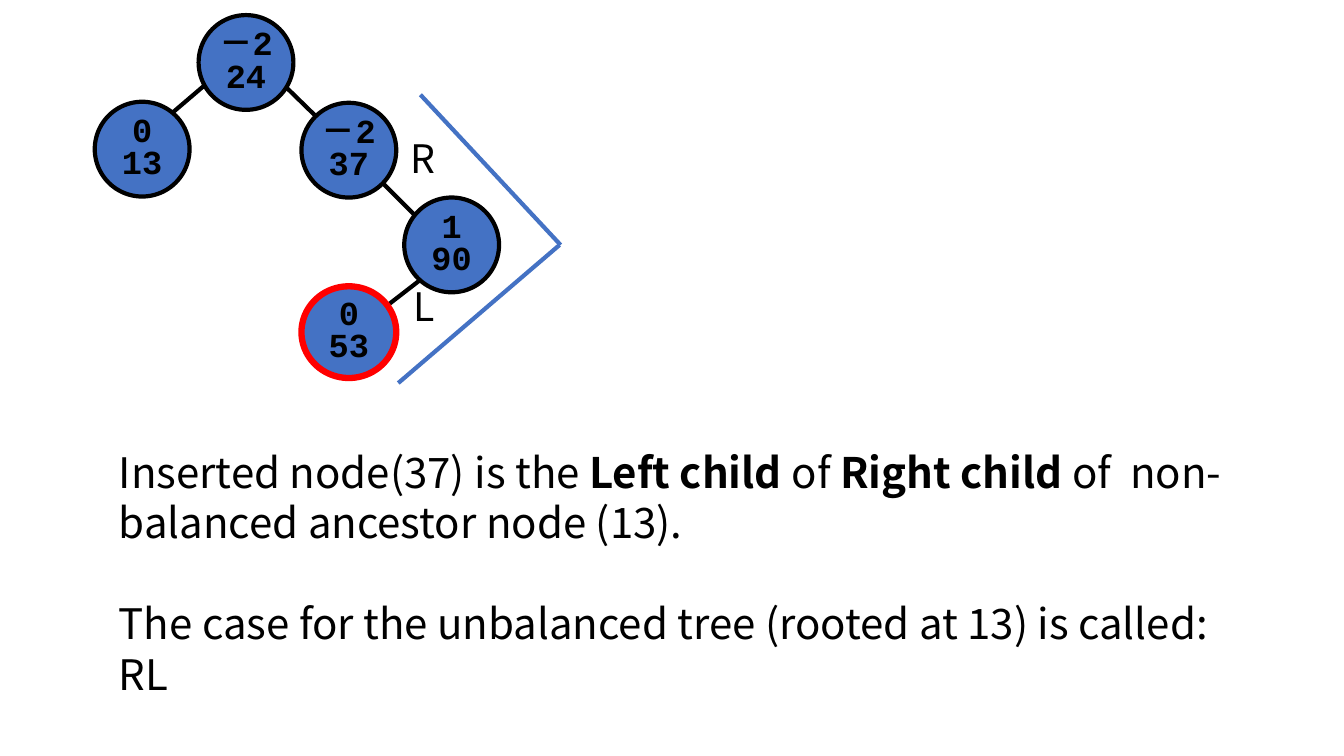
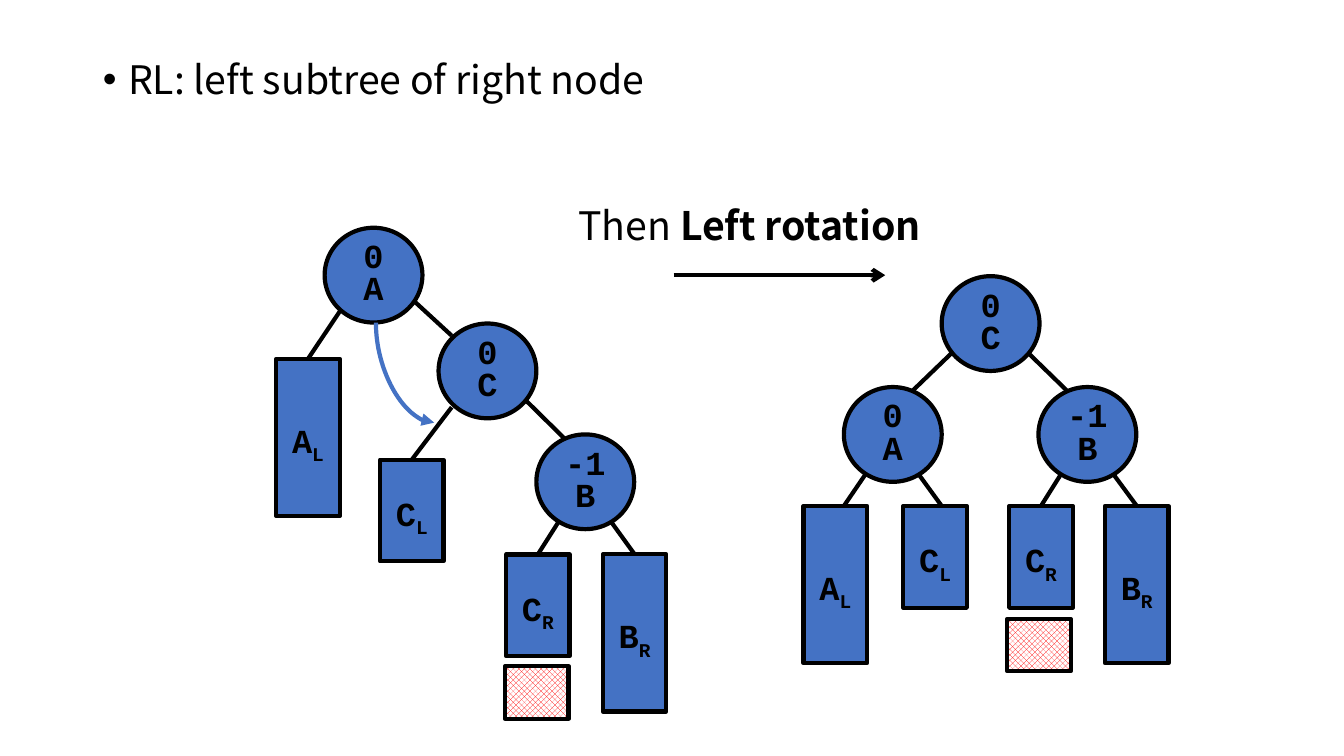
from dataclasses import dataclass

from lxml import etree
from pptx import Presentation
from pptx.dml.color import RGBColor
from pptx.enum.dml import MSO_PATTERN
from pptx.enum.shapes import MSO_CONNECTOR, MSO_SHAPE
from pptx.enum.text import MSO_ANCHOR, PP_ALIGN
from pptx.oxml.ns import qn
from pptx.util import Inches, Pt

STRAIGHT = MSO_CONNECTOR.STRAIGHT
OVAL, RECTANGLE, ARC = MSO_SHAPE.OVAL, MSO_SHAPE.RECTANGLE, MSO_SHAPE.ARC
OPEN_DIAMOND = MSO_PATTERN.OUTLINED_DIAMOND
MIDDLE, CENTER = MSO_ANCHOR.MIDDLE, PP_ALIGN.CENTER
TOP_SIDE = 0
LEAF_WIDTH = 0.63
FORK_WIDTH = 0.97
FORK_DEPTH = 1.18
TALL, SHORT = 1.56, 1.01


@dataclass(frozen=True)
class Theme:
    """Colours, fonts and sizes shared by the slides."""

    ink: RGBColor = RGBColor(0, 0, 0)
    blue: RGBColor = RGBColor(0x44, 0x72, 0xC4)
    red: RGBColor = RGBColor(0xFF, 0, 0)
    paper: RGBColor = RGBColor(0xFF, 0xFF, 0xFF)
    text_font: str = "Noto Sans CJK SC"
    node_font: str = "Courier New"
    statement_size: int = 30
    label_size: int = 28
    node_size: int = 24
    stroke: float = 3
    strong_stroke: float = 4.5


@dataclass(frozen=True)
class Node:
    """A round tree node, placed relative to its tree."""

    balance: str
    key: str
    left: float
    top: float
    width: float = 0.97
    height: float = 0.94
    inserted: bool = False


@dataclass(frozen=True)
class Leaf:
    """A subtree drawn as a bar, placed relative to its tree."""

    key: str
    side: str
    left: float
    top: float
    height: float


@dataclass(frozen=True)
class Edge:
    """A line between two points, joined to a leaf when one is named."""

    start: tuple
    end: tuple
    leaf: str = ""


@dataclass(frozen=True)
class Tree:
    """The parts of one tree."""

    nodes: tuple
    edges: tuple
    leaves: tuple = ()
    new_block: tuple = ()


THEME = Theme()


def fork(left, top, left_leaf="", right_leaf=""):
    """Return the two edges that hang below a node."""
    bottom = top + FORK_DEPTH
    return (
        Edge((left + 0.32, top + 0.71), (left, bottom), left_leaf),
        Edge((left + 0.57, top + 0.63), (left + FORK_WIDTH, bottom), right_leaf),
    )


INSERTED_TREE = Tree(
    nodes=(
        Node("0", "13", 0, 0.86, 0.94),
        Node("－2", "24", 1.03, 0, 0.94),
        Node("－2", "37", 2.05, 0.87, 0.94),
        Node("1", "90", 3.07, 1.81, 0.94),
        Node("0", "53", 2.05, 2.69, 0.94, 0.91, True),
    ),
    edges=(
        Edge((2.76, 2.99), (3.47, 2.44)),
        Edge((3.23, 2.04), (2.84, 1.65)),
        Edge((2.21, 1.02), (1.81, 0.63)),
        Edge((1.26, 0.55), (0.71, 1.02)),
    ),
)
UNROTATED_TREE = Tree(
    nodes=(
        Node("-1", "B", 2.58, 2.05),
        Node("0", "C", 1.61, 0.95),
        Node("0", "A", 0.48, 0),
    ),
    edges=(
        Edge((0.63, 0.83), (0.31, 1.3), "AL"),
        Edge((1.37, 0.73), (1.74, 1.07)),
        Edge((1.74, 1.78), (1.35, 2.3), "CL"),
        Edge((2.26, 1.5), (2.98, 2.21)),
        *fork(2.58, 2.05, "CR", "BR"),
    ),
    leaves=(
        Leaf("B", "R", 3.24, 3.24, TALL),
        Leaf("C", "R", 2.28, 3.24, SHORT),
        Leaf("C", "L", 1.03, 2.3, SHORT),
        Leaf("A", "L", 0, 1.3, TALL),
    ),
    new_block=(2.27, 4.35),
)
ROTATED_TREE = Tree(
    nodes=(
        Node("-1", "B", 2.33, 1.1),
        Node("0", "C", 1.37, 0),
        Node("0", "A", 0.4, 1.1),
    ),
    edges=(
        *fork(0.4, 1.1),
        *fork(2.33, 1.1, "CR", "BR"),
        Edge((0.88, 1.33), (1.69, 0.55)),
        Edge((2.01, 0.55), (2.74, 1.26)),
    ),
    leaves=(
        Leaf("B", "R", 2.99, 2.28, TALL),
        Leaf("C", "R", 2.04, 2.28, SHORT),
        Leaf("C", "L", 0.99, 2.28, SHORT),
        Leaf("A", "L", 0, 2.28, TALL),
    ),
    new_block=(2.02, 3.4),
)


def set_font(paragraph, name, size, bold=None):
    """Format a whole paragraph."""
    font = paragraph.font
    font.name, font.size, font.bold = name, Pt(size), bold
    font.color.rgb = THEME.ink


def add_line(shapes, start, end, color=THEME.ink):
    """Draw a straight line without a shadow."""
    line = shapes.add_connector(STRAIGHT, *map(Inches, (*start, *end)))
    line.line.color.rgb = color
    line.line.width = Pt(THEME.stroke)
    etree.SubElement(line.element.spPr, qn("a:effectLst"))
    return line


def add_arrowhead(shape, end, kind):
    """Put an arrowhead on one end of a line."""
    outline = shape.element.spPr.find(qn("a:ln"))
    etree.SubElement(outline, qn(f"a:{end}"), type=kind)


def add_outlined(shapes, kind, left, top, width, height):
    """Draw a blue shape with a black outline."""
    shape = shapes.add_shape(kind, *map(Inches, (left, top, width, height)))
    shape.shadow.inherit = False
    shape.fill.solid()
    shape.fill.fore_color.rgb = THEME.blue
    shape.line.color.rgb = THEME.ink
    shape.line.width = Pt(THEME.stroke)
    frame = shape.text_frame
    frame.vertical_anchor = MIDDLE
    frame.margin_left = frame.margin_right = 0
    frame.margin_top = frame.margin_bottom = 0
    return shape


def add_node(shapes, node, left, top):
    """Draw a node with its balance above its key."""
    circle = add_outlined(
        shapes, OVAL, left + node.left, top + node.top, node.width, node.height
    )
    if node.inserted:
        circle.line.color.rgb = THEME.red
        circle.line.width = Pt(THEME.strong_stroke)
    circle.text_frame.text = f"{node.balance}\n{node.key}"
    for paragraph in circle.text_frame.paragraphs:
        paragraph.alignment = CENTER
        paragraph.line_spacing = 0.8
        set_font(paragraph, THEME.node_font, THEME.node_size, True)


def add_leaf(shapes, leaf, left, top):
    """Draw a leaf whose label carries a subscript."""
    bar = add_outlined(
        shapes, RECTANGLE, left + leaf.left, top + leaf.top, LEAF_WIDTH, leaf.height
    )
    bar.text_frame.margin_top = Inches(0.1)
    paragraph = bar.text_frame.paragraphs[0]
    paragraph.alignment = CENTER
    set_font(paragraph, THEME.node_font, THEME.node_size, True)
    for text in (leaf.key, leaf.side):
        run = paragraph.add_run()
        run.text = text
        run.font.bold = True
    bar.element.findall(".//" + qn("a:rPr"))[-1].set("baseline", "-25000")
    return bar


def add_tree(slide, tree, left, top):
    """Draw a tree as one group from its top left corner."""
    shapes = slide.shapes.add_group_shape().shapes
    bars = {leaf.key + leaf.side: add_leaf(shapes, leaf, left, top) for leaf in tree.leaves}
    for edge in tree.edges:
        start, end = ((left + x, top + y) for x, y in (edge.start, edge.end))
        line = add_line(shapes, start, end)
        if edge.leaf:
            line.end_connect(bars[edge.leaf], TOP_SIDE)
    for node in tree.nodes:
        add_node(shapes, node, left, top)
    if tree.new_block:
        x, y = tree.new_block
        block = add_outlined(shapes, RECTANGLE, left + x, top + y, LEAF_WIDTH, 0.52)
        block.fill.patterned()
        block.fill.pattern = OPEN_DIAMOND
        block.fill.fore_color.rgb = THEME.red
        block.fill.back_color.rgb = THEME.paper


def add_text(slide, box, paragraphs, size, gap=0):
    """Write paragraphs of (text, bold) runs in a text box."""
    frame = slide.shapes.add_textbox(*map(Inches, box)).text_frame
    frame.word_wrap = True
    for index, runs in enumerate(paragraphs):
        paragraph = frame.add_paragraph() if index else frame.paragraphs[0]
        set_font(paragraph, THEME.text_font, size)
        if index:
            paragraph.space_before = Pt(gap)
        for text, bold in runs:
            run = paragraph.add_run()
            run.text = text
            run.font.bold = bold


def build_case_slide(presentation):
    """Show the insertion that unbalances the tree."""
    slide = presentation.slides.add_slide(presentation.slide_layouts[6])
    add_tree(slide, INSERTED_TREE, 0.94, 0.15)
    statement = (
        (
            ("Inserted node(37) is the ", False),
            ("Left child", True),
            (" of ", False),
            ("Right child ", True),
            ("of  non-balanced ancestor node (13).", False),
        ),
        (("The case for the unbalanced tree (rooted at 13) is called: RL", False),),
    )
    add_text(slide, (1.08, 4.38, 11.18, 2.12), statement, THEME.statement_size, 36)
    for label, left, top in (("R", 3.97, 1.28), ("L", 4, 2.75)):
        add_text(slide, (left, top, 0.43, 0.57), [[(label, False)]], THEME.label_size)
    for start, end in (((4.17, 0.94), (5.56, 2.43)), ((5.55, 2.43), (3.95, 3.8))):
        add_line(slide.shapes, start, end, THEME.blue)


def add_bullet(slide, box, text):
    """Write the bullet in the body placeholder."""
    body = slide.placeholders[1]
    body.left, body.top, body.width, body.height = map(Inches, box)
    paragraph = body.text_frame.paragraphs[0]
    paragraph.text = text
    paragraph.line_spacing = 0.9
    paragraph.space_before = Pt(10)
    set_font(paragraph, THEME.text_font, THEME.label_size)
    properties = body.element.find(".//" + qn("a:pPr"))
    properties.set("marL", str(Inches(0.25)))
    properties.set("indent", str(-Inches(0.25)))


def add_move_arc(slide, box):
    """Draw the curved arrow that moves a subtree."""
    arc = slide.shapes.add_shape(ARC, *map(Inches, box))
    arc.shadow.inherit = False
    arc.adjustments[0], arc.adjustments[1] = 56.66, 133.54
    arc.rotation = 345.6
    arc.fill.background()
    arc.line.color.rgb = THEME.blue
    arc.line.width = Pt(THEME.stroke)
    add_arrowhead(arc, "headEnd", "triangle")


def build_rotation_slide(presentation):
    """Show the left rotation that ends the RL case."""
    slide = presentation.slides.add_slide(presentation.slide_layouts[1])
    title = slide.shapes.title.element
    title.getparent().remove(title)
    add_bullet(slide, (0.92, 0.55, 11.5, 4.76), "RL: left subtree of right node")
    caption = [[("Then ", False), ("Left rotation", True)]]
    add_text(slide, (5.64, 1.95, 3.66, 0.57), caption, THEME.label_size)
    add_tree(slide, ROTATED_TREE, 7.97, 2.74)
    add_tree(slide, UNROTATED_TREE, 2.74, 2.26)
    arrow = add_line(slide.shapes, (6.68, 2.73), (8.78, 2.73))
    add_arrowhead(arrow, "tailEnd", "arrow")
    add_move_arc(slide, (3.76, 2.67, 0.83, 1.54))


if __name__ == "__main__":
    presentation = Presentation()
    presentation.slide_width, presentation.slide_height = Inches(13.33), Inches(7.5)
    build_case_slide(presentation)
    build_rotation_slide(presentation)
    presentation.save("out.pptx")
